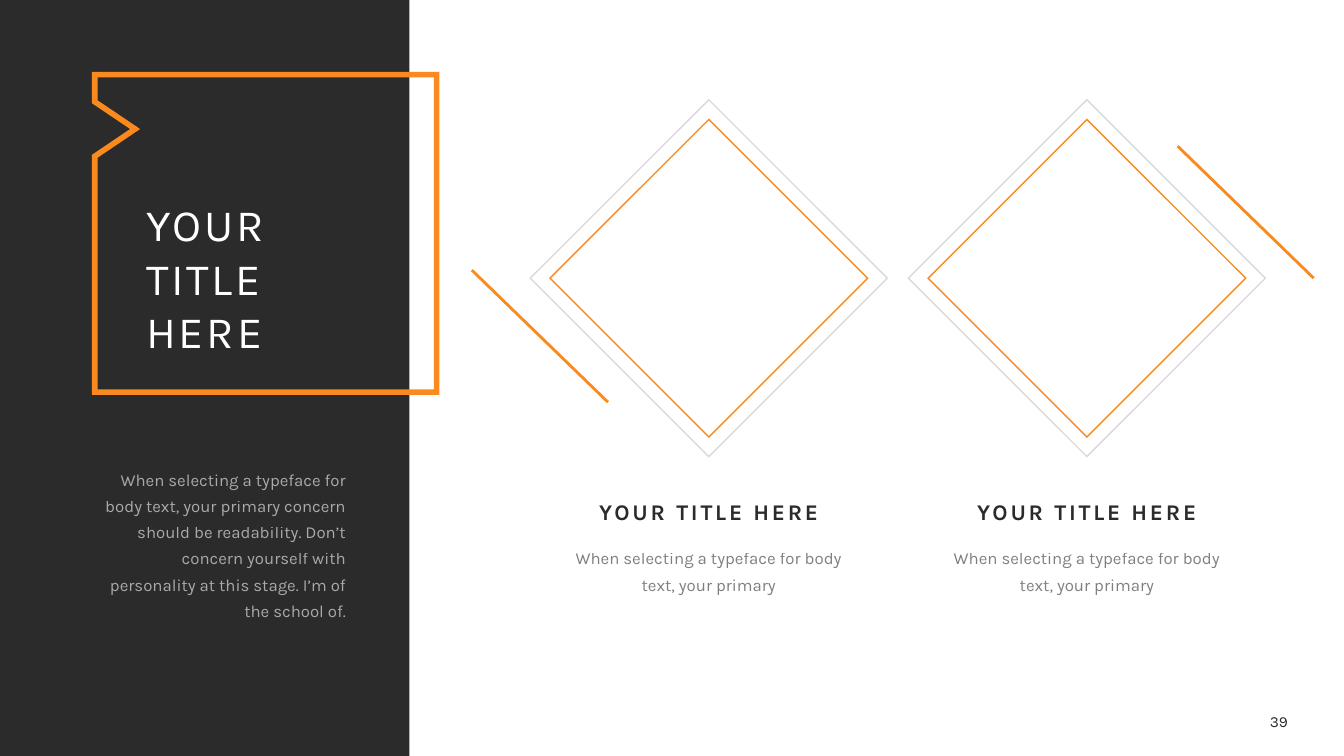
import lxml.etree
import pptx
import pptx.dml.color
import pptx.enum.shapes
import pptx.enum.text
import pptx.oxml.ns
import pptx.util

Inches = pptx.util.Inches
Pt = pptx.util.Pt
RGBColor = pptx.dml.color.RGBColor
Align = pptx.enum.text.PP_ALIGN
Anchor = pptx.enum.text.MSO_ANCHOR
AutoSize = pptx.enum.text.MSO_AUTO_SIZE
Shape = pptx.enum.shapes.MSO_SHAPE
qn = pptx.oxml.ns.qn

DARK = RGBColor(0x2B, 0x2B, 0x2B)
ORANGE = RGBColor(0xFA, 0x89, 0x1E)
GREY = RGBColor(0xD9, 0xD9, 0xD9)
WHITE = RGBColor(0xFF, 0xFF, 0xFF)


class SlideBuilder:
    """Draw styled elements on the current slide."""

    font_name = "Karla"

    def __init__(self, slide):
        self.slide = slide

    def panel(self, left, top, width, height, color):
        shape = self.slide.shapes.add_shape(
            Shape.RECTANGLE, Inches(left), Inches(top), Inches(width), Inches(height))
        shape.shadow.inherit = False
        shape.fill.solid()
        shape.fill.fore_color.rgb = color
        shape.line.fill.background()

    def outline(self, shape, color, width):
        shape.shadow.inherit = False
        shape.fill.background()
        shape.line.color.rgb = color
        shape.line.width = Pt(width)
        line = shape.line._get_or_add_ln()
        lxml.etree.SubElement(line, qn("a:miter"), lim="800000")

    def diamond(self, center_x, center_y, size, color):
        shape = self.slide.shapes.add_shape(
            Shape.DIAMOND, Inches(center_x - size / 2), Inches(center_y - size / 2),
            Inches(size), Inches(size))
        self.outline(shape, color, 1)

    def frame(self, points, color, width):
        corners = [(Inches(x), Inches(y)) for x, y in points]
        builder = self.slide.shapes.build_freeform(*corners[0])
        builder.add_line_segments(corners[1:], close=True)
        self.outline(builder.convert_to_shape(), color, width)

    def accent(self, left, top, width, height):
        connector = self.slide.shapes.add_connector(
            pptx.enum.shapes.MSO_CONNECTOR.STRAIGHT, Inches(left), Inches(top),
            Inches(left + width), Inches(top + height))
        connector.line.color.rgb = ORANGE
        connector.line.width = Pt(2)
        lxml.etree.SubElement(connector._element.spPr, qn("a:effectLst"))

    def text(self, box, words, size, color, align=Align.LEFT, spacing=1.0, bold=False,
             tracking=0, opacity=100, grow=False, anchor=Anchor.TOP):
        shape = self.slide.shapes.add_textbox(*(Inches(length) for length in box))
        frame = shape.text_frame
        frame.word_wrap = True
        frame.auto_size = AutoSize.SHAPE_TO_FIT_TEXT if grow else AutoSize.NONE
        frame.vertical_anchor = anchor
        paragraph = frame.paragraphs[0]
        paragraph.alignment = align
        paragraph.line_spacing = spacing
        run = paragraph.add_run()
        run.text = words
        run.font.name = self.font_name
        run.font.size = Pt(size)
        run.font.bold = bold
        run.font.color.rgb = color
        properties = run._r.get_or_add_rPr()
        if tracking:
            properties.set("spc", str(tracking * 100))
        if opacity < 100:
            swatch = properties.find(".//" + qn("a:srgbClr"))
            lxml.etree.SubElement(swatch, qn("a:alpha"), val=str(opacity * 1000))

    def body(self, box, words, color, align):
        self.text(box, words, 12, color, align, spacing=1.3, opacity=60, grow=True)

    def feature(self, center_x):
        self.diamond(center_x, 2.76, 3.15, ORANGE)
        self.diamond(center_x, 2.76, 3.54, GREY)
        left, width = center_x - 1.42, 2.84
        self.body((left, 5.33, width, 0.63),
                  "When selecting a typeface for body text, your primary", DARK, Align.CENTER)
        self.text((left, 4.92, width, 0.41), "YOUR TITLE HERE", 16, DARK, Align.CENTER,
                  spacing=0.9, bold=True, tracking=2)


def main():
    presentation = pptx.Presentation()
    presentation.slide_width = Inches(13.33)
    presentation.slide_height = Inches(7.5)
    builder = SlideBuilder(presentation.slides.add_slide(presentation.slide_layouts[6]))

    builder.text((12.45, 7.05, 0.47, 0.21), "39", 11, DARK, Align.CENTER, anchor=Anchor.MIDDLE)
    builder.panel(0, 0, 4.06, 7.5, DARK)
    for center_x in (7.03, 10.78):
        builder.feature(center_x)
    builder.body((0.92, 4.55, 2.61, 1.41),
                 "When selecting a typeface for body text, your primary concern should be "
                 "readability. Don’t concern yourself with personality at this stage. "
                 "I’m of the school of.", WHITE, Align.RIGHT)
    builder.frame([(0.94, 0.74), (4.33, 0.74), (4.33, 3.89), (0.94, 3.89),
                   (0.94, 1.55), (1.34, 1.28), (0.94, 1.01)], ORANGE, 4)
    builder.text((1.35, 1.9, 1.98, 1.72), "YOUR TITLE HERE", 32, WHITE, tracking=2, grow=True)
    for left, top in ((4.68, 2.68), (11.68, 1.45)):
        builder.accent(left, top, 1.35, 1.31)

    presentation.save("out.pptx")


if __name__ == "__main__":
    main()
